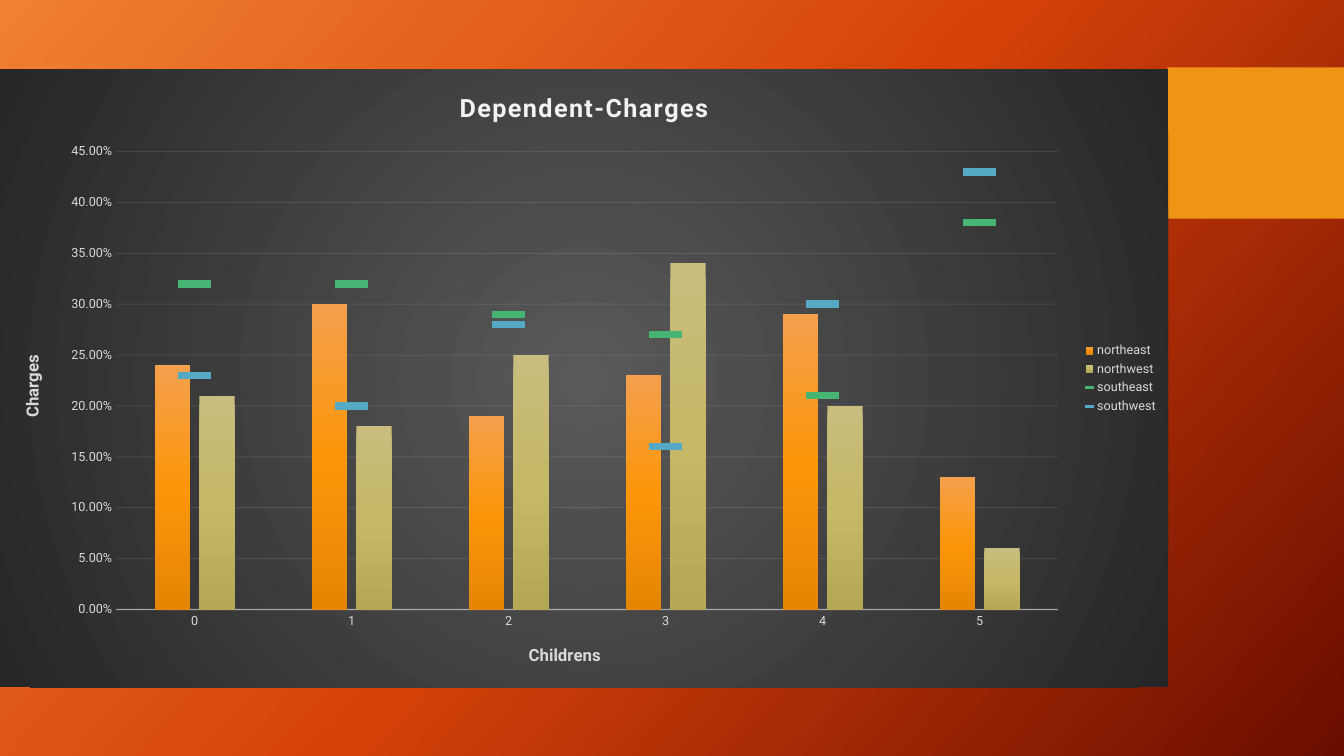
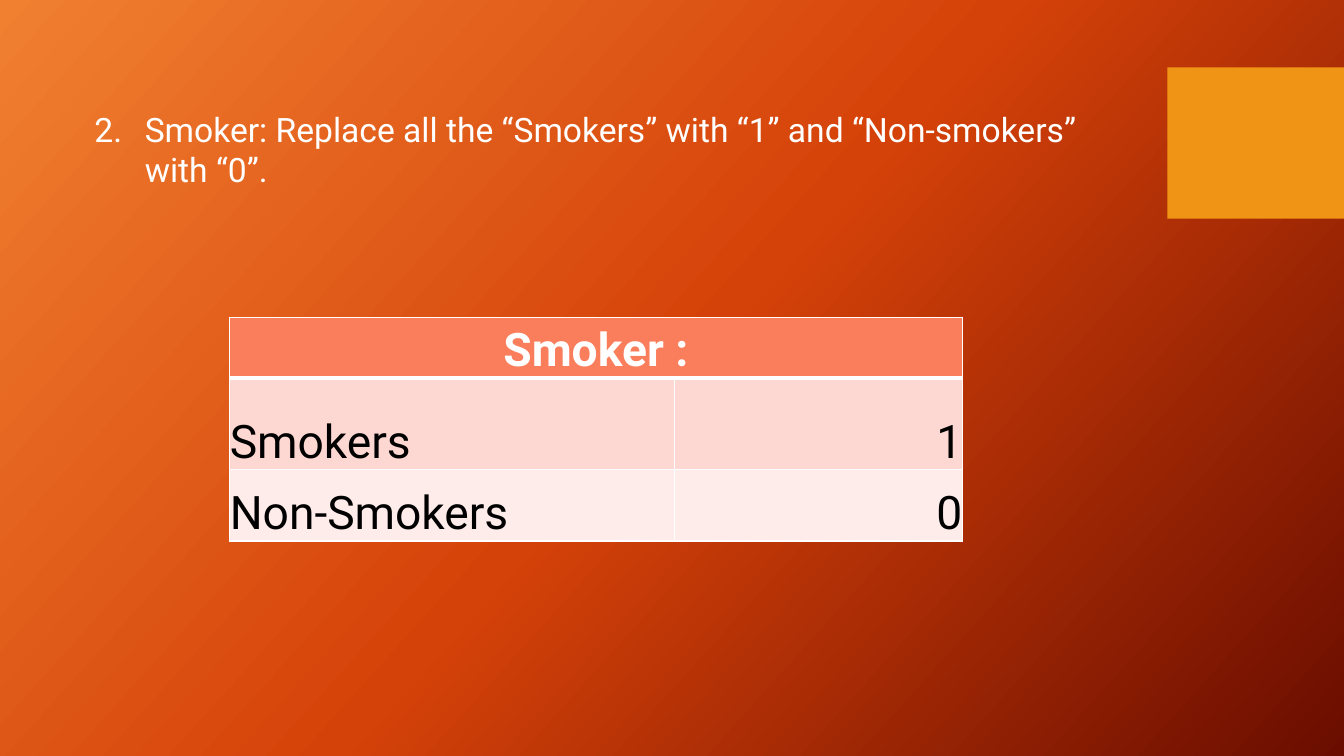
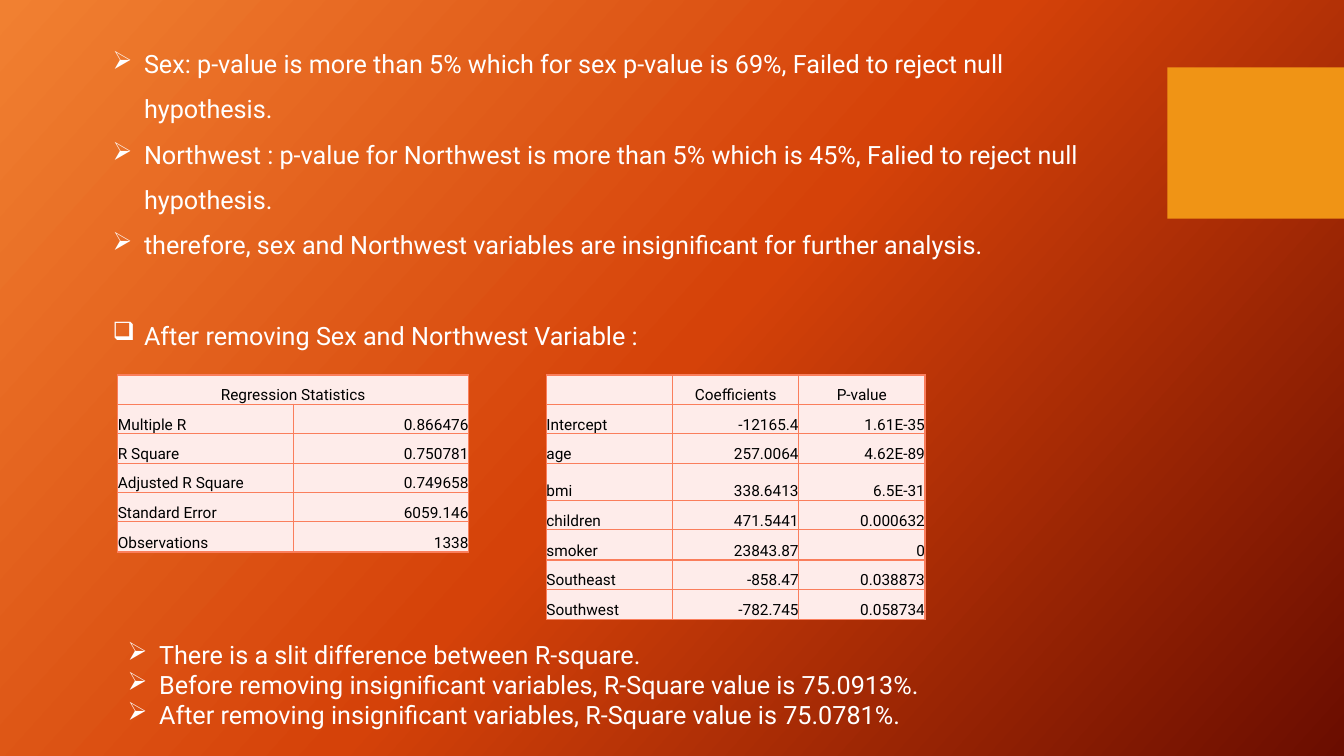
from dataclasses import dataclass

from pptx import Presentation
from pptx.chart.data import CategoryChartData
from pptx.dml.color import RGBColor
from pptx.enum.chart import XL_CHART_TYPE as ChartType, XL_LEGEND_POSITION as LegendPosition
from pptx.enum.chart import XL_MARKER_STYLE as MarkerStyle, XL_TICK_MARK as TickMark
from pptx.enum.shapes import MSO_SHAPE as ShapeType
from pptx.enum.text import MSO_ANCHOR as Anchor, MSO_AUTO_SIZE as AutoSize, PP_ALIGN as Align
from pptx.oxml import parse_xml
from pptx.oxml.ns import nsdecls, qn
from pptx.util import Cm, Pt


@dataclass(frozen=True)
class Theme:
    font: str = "Roboto"
    # Colours
    background: tuple = ((0, "F18031"), (50, "D54209"), (100, "6A0D00"))
    band: str = "F09415"
    white: str = "FFFFFF"
    black: str = "000000"
    coral: str = "FA7E5C"
    rose: str = "FDD8D2"
    blush: str = "FEECEA"
    chart_background: tuple = ((0, "595959"), (100, "262626"))
    chart_title: str = "F2F2F2"
    chart_text: str = "D9D9D9"
    orange_bar: tuple = ((0, "F4A04D"), (50, "FB960A"), (100, "E58603"))
    sand_bar: tuple = ((0, "C8BD7E"), (50, "C5B867"), (100, "B4A756"))
    green: str = "46B472"
    blue: str = "55A9C5"
    # Type sizes
    instruction: int = 24
    body: int = 18
    large_cell: int = 33
    small_cell: int = 11
    chart_heading: int = 18
    axis_heading: int = 12
    chart_label: int = 9


theme = Theme()


def gradient(stops, angle=None):
    """Return a linear gradient, or a centred circular one without an angle."""
    marks = "".join(f'<a:gs pos="{position * 1000}"><a:srgbClr val="{colour}"/></a:gs>'
                    for position, colour in stops)
    if angle is None:
        shade = '<a:path path="circle"><a:fillToRect l="50000" t="50000" r="50000" b="50000"/></a:path>'
    else:
        shade = f'<a:lin ang="{angle * 60000}" scaled="0"/>'
    return parse_xml(f'<a:gradFill {nsdecls("a")} rotWithShape="1"><a:gsLst>{marks}</a:gsLst>{shade}</a:gradFill>')


def style_font(font, size, colour, bold=False):
    values = {"name": theme.font, "size": Pt(size), "bold": bold}
    for name, value in values.items():
        setattr(font, name, value)
    font.color.rgb = RGBColor.from_string(colour)


# Presentation with three blank slides
presentation = Presentation()
presentation.slide_width, presentation.slide_height = Cm(33.87), Cm(19.05)
blank_layout = presentation.slide_layouts[6]
chart_slide, smoker_slide, regression_slide = [
    presentation.slides.add_slide(blank_layout) for _ in range(3)]

# Shared background and band, kept on the master
master = presentation.slide_master
master.background.fill.solid()
plain_fill = master.element.find(".//" + qn("a:solidFill"))
plain_fill.getparent().replace(plain_fill, gradient(theme.background, 42))

band = chart_slide.shapes.add_shape(ShapeType.RECTANGLE, Cm(29.42), Cm(1.7), Cm(4.45), Cm(3.81))
band.shadow.inherit = False
band.fill.solid()
band.fill.fore_color.rgb = RGBColor.from_string(theme.band)
band.line.fill.background()
band.element.nvSpPr.cNvPr.set("id", "20")
master.shapes.element.append(band.element)

# Chart: two regions as columns, two as dash markers
chart_data = CategoryChartData(number_format="0.00%")
chart_data.categories = ["0", "1", "2", "3", "4", "5"]
for region, charges in {
    "northeast": (0.24, 0.3, 0.19, 0.23, 0.29, 0.13),
    "northwest": (0.21, 0.18, 0.25, 0.34, 0.2, 0.06),
    "southeast": (0.32, 0.32, 0.29, 0.27, 0.21, 0.38),
    "southwest": (0.23, 0.2, 0.28, 0.16, 0.3, 0.43),
}.items():
    chart_data.add_series(region, charges)
chart = chart_slide.shapes.add_chart(
    ChartType.COLUMN_CLUSTERED, Cm(0), Cm(1.75), Cm(29.44), Cm(15.57), chart_data).chart
style_font(chart.font, theme.chart_label, theme.chart_text)

chart_area = parse_xml(f'<c:spPr {nsdecls("c", "a")}><a:ln><a:noFill/></a:ln></c:spPr>')
chart_area.insert(0, gradient(theme.chart_background))
chart.element.find(qn("c:chart")).addnext(chart_area)

# Move the last two series into a line plot on the same axes
column_plot = chart.plots[0]
column_xml = column_plot._element
line_xml = parse_xml(f'<c:lineChart {nsdecls("c")}><c:grouping val="standard"/>'
                     '<c:varyColors val="0"/></c:lineChart>')
for series_xml in column_xml.findall(qn("c:ser"))[2:]:
    for column_only in series_xml.findall(qn("c:invertIfNegative")):
        series_xml.remove(column_only)
    line_xml.append(series_xml)
line_xml.append(parse_xml(f'<c:marker {nsdecls("c")} val="1"/>'))
for axis_id in column_xml.findall(qn("c:axId")):
    line_xml.append(parse_xml(f'<c:axId {nsdecls("c")} val="{axis_id.get("val")}"/>'))
column_xml.addnext(line_xml)

for name, value in {"gap_width": 219, "overlap": -27, "vary_by_categories": False}.items():
    setattr(column_plot, name, value)
for series, stops in zip(column_plot.series, (theme.orange_bar, theme.sand_bar)):
    series._element.get_or_add_spPr().append(gradient(stops, 90))
for series, colour in zip(chart.plots[1].series, (theme.green, theme.blue)):
    series.smooth = False
    series.format.line.fill.background()
    series.marker.style, series.marker.size = MarkerStyle.DASH, 23
    series.marker.format.fill.solid()
    series.marker.format.fill.fore_color.rgb = RGBColor.from_string(colour)
    series.marker.format.line.fill.background()

# Chart axes, titles and legend
category_axis, value_axis = chart.category_axis, chart.value_axis
for name, value in {"minimum_scale": 0, "maximum_scale": 0.45, "major_unit": 0.05,
                    "has_major_gridlines": True}.items():
    setattr(value_axis, name, value)
value_axis.tick_labels.number_format = "0.00%"
value_axis.tick_labels.number_format_is_linked = False
value_axis.format.line.fill.background()
for axis in (category_axis, value_axis):
    axis.major_tick_mark = axis.minor_tick_mark = TickMark.NONE
    style_font(axis.tick_labels.font, theme.chart_label, theme.chart_text)

for line, width, axis, place, opacity in (
    (category_axis.format.line, 1, category_axis, "c:spPr", 54),
    (value_axis.major_gridlines.format.line, 0.75, value_axis, "c:majorGridlines/c:spPr", 10),
):
    line.width = Pt(width)
    line.color.rgb = RGBColor.from_string(theme.chart_title)
    colour_xml = axis._element.xpath(place + "//a:srgbClr")[0]
    colour_xml.append(parse_xml(f'<a:alpha {nsdecls("a")} val="{opacity * 1000}"/>'))

for owner, title, size, colour, letter_spacing in (
    (chart, "Dependent-Charges", theme.chart_heading, theme.chart_title, 100),
    (category_axis, "Childrens", theme.axis_heading, theme.chart_text, 0),
    (value_axis, "Charges", theme.axis_heading, theme.chart_text, 0),
):
    owner.has_title = True
    heading = owner.chart_title if letter_spacing else owner.axis_title
    run = heading.text_frame.paragraphs[0].add_run()
    run.text = title
    style_font(run.font, size, colour, bold=True)
    run._r.get_or_add_rPr().set("spc", str(letter_spacing))

chart.has_legend = True
chart.legend.position = LegendPosition.RIGHT
chart.legend.include_in_layout = False
style_font(chart.legend.font, theme.chart_label, theme.chart_text)

# Lists: slide, place, size, line spacing, indent, items of (bullet, space before, text)
numbered = '<a:buAutoNum {} type="arabicPeriod" startAt="2"/>'
arrow = '<a:buChar {} char="➢"/>'
box = '<a:buChar {} char="❑"/>'
text_lists = (
    (smoker_slide, (2.13, 2.62, 26.19, 2.31), theme.instruction, 1, 1.27, (
        (numbered, 0, "Smoker: Replace all the “Smokers” with “1” and “Non-smokers” with “0”."),
    )),
    (regression_slide, (2.59, 0.71, 25.22, 8.2), theme.body, 1.5, 0.79, (
        (arrow, 0, "Sex: p-value is more than 5% which for sex p-value is 69%, "
                   "Failed to reject null hypothesis."),
        (arrow, 0, "Northwest : p-value for Northwest is more than 5% which is 45%, "
                   "Falied to reject null hypothesis."),
        (arrow, 0, "therefore, sex and Northwest variables are insignificant for further analysis."),
        (box, 32, "After removing Sex and Northwest Variable :"),
    )),
    (regression_slide, (2.97, 15.98, 25.63, 2.57), theme.body, 1, 0.79, (
        (arrow, 0, "There is a slit difference between R-square."),
        (arrow, 0, "Before removing insignificant variables, R-Square value is 75.0913%."),
        (arrow, 0, "After removing insignificant variables, R-Square value is 75.0781%."),
    )),
)
for slide, place, size, line_spacing, indent, items in text_lists:
    text_frame = slide.shapes.add_textbox(*map(Cm, place)).text_frame
    text_frame.word_wrap = True
    text_frame.auto_size = AutoSize.SHAPE_TO_FIT_TEXT
    for index, (bullet, space_before, text) in enumerate(items):
        paragraph = text_frame.add_paragraph() if index else text_frame.paragraphs[0]
        paragraph.line_spacing = line_spacing
        paragraph.space_before = Pt(space_before)
        properties = paragraph._p.get_or_add_pPr()
        properties.set("marL", str(int(Cm(indent))))
        properties.set("indent", str(-int(Cm(indent))))
        properties.append(parse_xml(bullet.format(nsdecls("a"))))
        run = paragraph.add_run()
        run.text = text
        style_font(run.font, size, theme.white)

# Tables: first row is centred, first column left, the rest right
small_look = {"size": theme.small_cell, "border": theme.coral, "header_rule": 1,
              "header": (theme.blush, theme.black, False), "row_fills": (theme.blush,)}
large_look = {"size": theme.large_cell, "border": theme.white, "header_rule": 3,
              "header": (theme.coral, theme.white, True), "row_fills": (theme.rose, theme.blush)}
tables = (
    (smoker_slide, (5.79, 8), (11.2, 7.26), (1.52, 2.31, 1.8), large_look, (
        ("Smoker :",),
        ("Smokers", "1"),
        ("Non-Smokers", "0"),
    )),
    (regression_slide, (2.97, 9.45), (4.42,) * 2, (0.74,) * 5 + (0.76,), small_look, (
        ("Regression Statistics",),
        ("Multiple R", "0.866476"),
        ("R Square", "0.750781"),
        ("Adjusted R Square", "0.749658"),
        ("Standard Error", "6059.146"),
        ("Observations", "1338"),
    )),
    (regression_slide, (13.77, 9.45), (3.18,) * 3,
     (0.74, 0.74, 0.74, 0.94, 0.74, 0.76, 0.74, 0.76), small_look, (
        ("", "Coefficients", "P-value"),
        ("Intercept", "-12165.4", "1.61E-35"),
        ("age", "257.0064", "4.62E-89"),
        ("bmi", "338.6413", "6.5E-31"),
        ("children", "471.5441", "0.000632"),
        ("smoker", "23843.87", "0"),
        ("Southeast", "-858.47", "0.038873"),
        ("Southwest", "-782.745", "0.058734"),
    )),
)
cell_format = {"margin_left": 0, "margin_right": 0, "margin_top": 0, "margin_bottom": 0,
               "vertical_anchor": Anchor.BOTTOM}
for slide, (left, top), widths, heights, look, rows in tables:
    table = slide.shapes.add_table(len(heights), len(widths), Cm(left), Cm(top),
                                   Cm(sum(widths)), Cm(sum(heights))).table
    table.first_row = table.horz_banding = False
    for column, width in zip(table.columns, widths):
        column.width = Cm(width)
    for row, height in zip(table.rows, heights):
        row.height = Cm(height)
    if len(rows[0]) == 1:
        table.cell(0, 0).merge(table.cell(0, len(widths) - 1))

    for row_index, texts in enumerate(rows):
        if row_index == 0:
            fill, colour, bold = look["header"]
        else:
            fills = look["row_fills"]
            fill, colour, bold = fills[(row_index - 1) % len(fills)], theme.black, False
        for column_index in range(len(widths)):
            cell = table.cell(row_index, column_index)
            for name, value in cell_format.items():
                setattr(cell, name, value)
            for side in "LRTB":
                width = look["header_rule"] if (row_index, side) == (0, "B") else 1
                cell._tc.get_or_add_tcPr().append(parse_xml(
                    f'<a:ln{side} {nsdecls("a")} w="{int(Pt(width))}"><a:solidFill>'
                    f'<a:srgbClr val="{look["border"]}"/></a:solidFill></a:ln{side}>'))
            cell.fill.solid()
            cell.fill.fore_color.rgb = RGBColor.from_string(fill)

            paragraph = cell.text_frame.paragraphs[0]
            text = texts[column_index] if column_index < len(texts) else ""
            if not text:
                paragraph._p.get_or_add_endParaRPr().set("sz", str(look["size"] * 100))
                continue
            paragraph.alignment = (Align.CENTER if row_index == 0 else
                                   Align.RIGHT if column_index else Align.LEFT)
            run = paragraph.add_run()
            run.text = text
            style_font(run.font, look["size"], colour, bold)

presentation.save("out.pptx")
